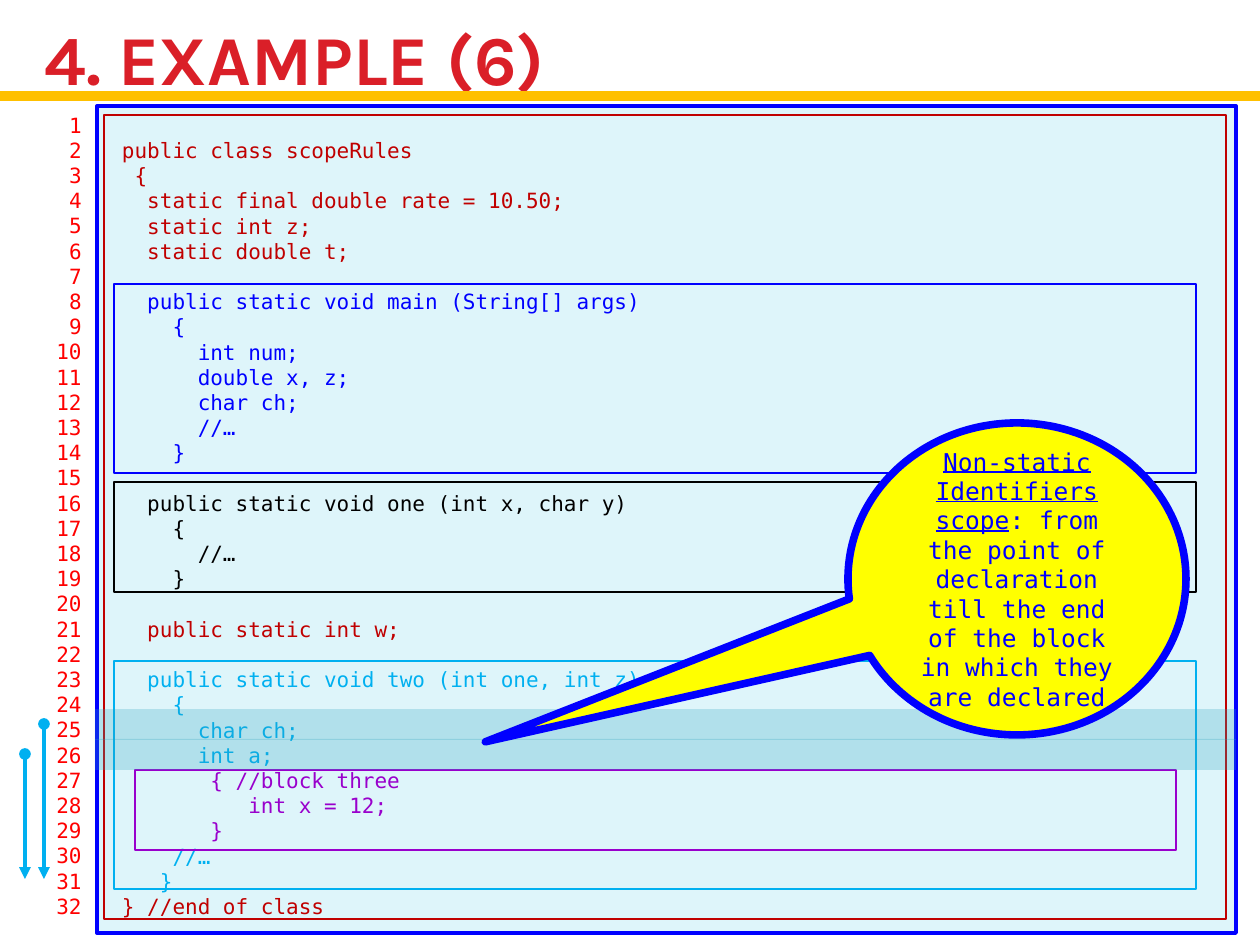
from lxml.etree import SubElement
from pptx import Presentation
from pptx.dml.color import RGBColor
from pptx.enum.shapes import MSO_CONNECTOR, MSO_SHAPE
from pptx.enum.text import MSO_ANCHOR, MSO_AUTO_SIZE, PP_ALIGN
from pptx.oxml.ns import qn
from pptx.util import Pt

PX = 914400 / 126
COLORS = {
    "title": "DA1F28", "rule": "FFC000", "number": "FF0000", "panel": "DEF5FA",
    "class": "C00000", "main": "0000FF", "one": "000000", "two": "00B0F0",
    "three": "9900CC", "highlight": "2DA2BF", "callout": "FFFF00",
}
COLORS = {name: RGBColor.from_string(value) for name, value in COLORS.items()}
MONO = "DejaVu Sans Mono"
LINE_HEIGHT = Pt(14.4)

# Each part of the listing: colour name, then its lines; empty strings are blank lines
CODE = [
    ("class", ["", " public class scopeRules", "  {",
               "   static final double rate = 10.50;",
               "   static int z;", "   static double t;", ""]),
    ("main", ["   public static void main (String[] args)", "     {",
              "       int num;", "       double x, z;", "       char ch;",
              "       //…", "     }", ""]),
    ("one", ["   public static void one (int x, char y)", "     {",
             "       //…", "     }", ""]),
    ("class", ["   public static int w;", ""]),
    ("two", ["   public static void two (int one, int z)", "     {",
             "       char ch;", "       int a;"]),
    ("three", ["        { //block three", "           int x = 12;", "        }"]),
    ("two", ["     //…", "    }"]),
    ("class", [" } //end of class"]),
]

presentation = Presentation()
presentation.slide_width, presentation.slide_height = round(1260 * PX), round(945 * PX)
slide = presentation.slides.add_slide(presentation.slide_layouts[5])


def add_box(kind, box, fill=None, line=None, width=1.5):
    shape = slide.shapes.add_shape(kind, *(round(value * PX) for value in box))
    shape.shadow.inherit = False
    if fill:
        shape.fill.solid()
        shape.fill.fore_color.rgb = COLORS[fill]
    else:
        shape.fill.background()
    if line:
        shape.line.color.rgb = COLORS[line]
        shape.line.width = Pt(width)
    else:
        shape.line.fill.background()
    return shape


def add_line(start, end, color, width):
    line = slide.shapes.add_connector(
        MSO_CONNECTOR.STRAIGHT, *(round(value * PX) for value in (*start, *end)))
    line.line.color.rgb = COLORS[color]
    line.line.width = Pt(width)
    SubElement(line._element.spPr, qn("a:effectLst"))
    return line


# Title and rule
add_line((0, 96), (1260, 96), "rule", 6)
title = slide.shapes.title
title.left, title.top, title.width, title.height = (
    round(value * PX) for value in (32, 16, 1193, 82))
title.text_frame.text = "4. EXAMPLE (6)"
title.text_frame.auto_size = MSO_AUTO_SIZE.NONE
title.text_frame.vertical_anchor = MSO_ANCHOR.MIDDLE
paragraph = title.text_frame.paragraphs[0]
paragraph.alignment = PP_ALIGN.LEFT
paragraph.font.name, paragraph.font.size, paragraph.font.bold = "Karla", Pt(40), True
paragraph.font.color.rgb = COLORS["title"]

# Line numbers
line_count = sum(len(lines) for _, lines in CODE)
numbers = slide.shapes.add_textbox(*(round(value * PX) for value in (25, 106, 69, 827)))
frame = numbers.text_frame
frame.word_wrap = True
frame.text = "\n".join(str(number) for number in range(1, line_count + 1))
for paragraph in frame.paragraphs:
    paragraph.alignment = PP_ALIGN.RIGHT
    paragraph.line_spacing = LINE_HEIGHT
    paragraph.font.name, paragraph.font.size = MONO, Pt(12)
    paragraph.font.color.rgb = COLORS["number"]

# Code panel: a blank line becomes space before the next line, or top margin
panel = add_box(MSO_SHAPE.RECTANGLE, (97, 106, 1139, 827), "panel", "main", 2.25)
frame = panel.text_frame
frame.vertical_anchor = MSO_ANCHOR.TOP
paragraph, blank_lines = None, 0
for color, lines in CODE:
    for text in lines:
        if not text:
            blank_lines += 1
            continue
        if paragraph is None:
            paragraph = frame.paragraphs[0]
            frame.margin_top += blank_lines * LINE_HEIGHT
        else:
            paragraph = frame.add_paragraph()
            paragraph.space_before = blank_lines * LINE_HEIGHT
        blank_lines = 0
        paragraph.text = text
        paragraph.alignment = PP_ALIGN.LEFT
        paragraph.line_spacing = LINE_HEIGHT
        paragraph.font.name, paragraph.font.size = MONO, Pt(12)
        paragraph.font.color.rgb = COLORS[color]

# Scope frames
for color, box in [
    ("class", (104, 115, 1122, 804)),
    ("main", (114, 284, 1082, 189)),
    ("one", (114, 482, 1082, 110)),
    ("two", (114, 661, 1082, 228)),
    ("three", (135, 770, 1041, 80)),
]:
    add_box(MSO_SHAPE.RECTANGLE, box, line=color)

# Highlighted declarations, each with an arrow down to the end of its scope
for band_top, arrow_x in [(709, 44), (739, 25)]:
    band = add_box(MSO_SHAPE.RECTANGLE, (95, band_top, 1141, 31), "highlight")
    fill_color = band._element.spPr.find(qn("a:solidFill"))[0]
    SubElement(fill_color, qn("a:alpha"), val="25000")
    arrow = add_line((arrow_x, band_top + 15), (arrow_x, 879), "two", 2.25)
    outline = arrow.line._get_or_add_ln()
    SubElement(outline, qn("a:headEnd"), type="oval")
    SubElement(outline, qn("a:tailEnd"), type="triangle")

# Callout
callout = add_box(MSO_SHAPE.OVAL_CALLOUT, (848, 423, 338, 312), "callout", "main", 4.33)
callout.adjustments[0], callout.adjustments[1] = -1.573, 0.522
frame = callout.text_frame
frame.word_wrap = True
frame.vertical_anchor = MSO_ANCHOR.MIDDLE
paragraph = frame.paragraphs[0]
paragraph.alignment = PP_ALIGN.CENTER
paragraph.font.name, paragraph.font.size = MONO, Pt(14)
paragraph.font.color.rgb = COLORS["main"]
term = paragraph.add_run()
term.text = "Non-static Identifiers scope"
term.font.underline = True
paragraph.add_run().text = (
    ": from the point of declaration till the end of the block in which they are declared")

presentation.save("out.pptx")
